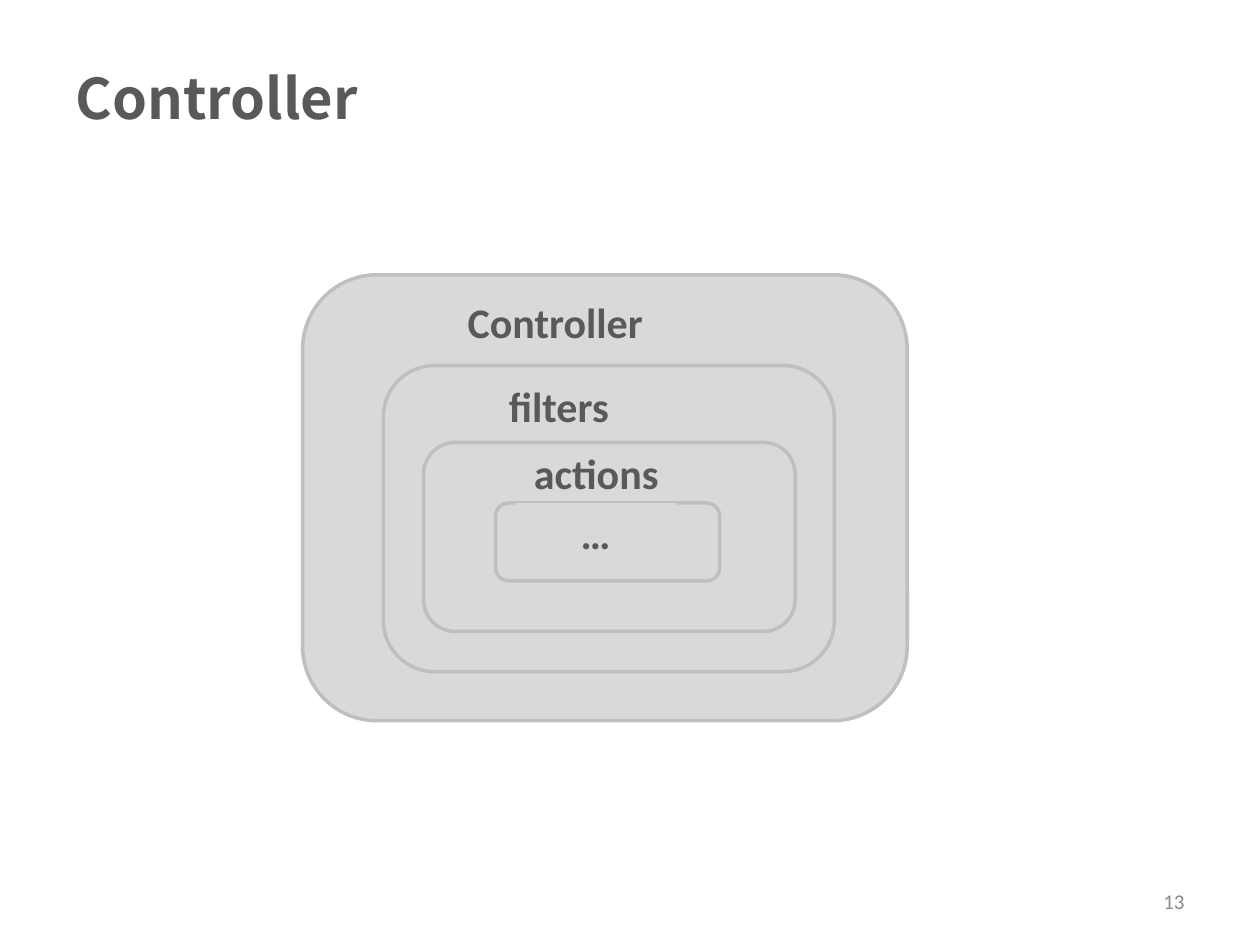
from pptx import Presentation
from pptx.dml.color import RGBColor
from pptx.enum.shapes import MSO_SHAPE
from pptx.enum.text import MSO_ANCHOR, PP_ALIGN
from pptx.util import Cm, Pt

COLORS = {"text": "595959", "number": "898989", "fill": "D9D9D9", "line": "BFBFBF"}
TITLE_FORMAT = {"name": "Noto Sans CJK SC", "size": Pt(32), "bold": True}
LABEL_FORMAT = {"name": "Calibri", "size": Pt(24), "bold": True}
NUMBER_FORMAT = {"name": "Calibri", "size": Pt(12), "bold": False}

LAYERS = [
    (0, 0, 12.19, 8.99),
    (1.63, 1.83, 9.09, 6.17),
    (2.44, 3.38, 7.49, 3.81),
    (3.89, 4.6, 4.52, 1.57),
]
LABELS = [
    ("Controller", (2.67, 0.36, 4.85, 1.19)),
    ("filters", (2.74, 2.24, 4.85, 0.79)),
    ("actions", (3.89, 3.68, 4.06, 0.61)),
    ("…", (4.29, 4.6, 3.23, 1.19)),
]


def color(name):
    return RGBColor.from_string(COLORS[name])


def write_text(shape, text, font_format, color_name, alignment):
    frame = shape.text_frame
    frame.word_wrap = True
    frame.vertical_anchor = MSO_ANCHOR.MIDDLE
    paragraph = frame.paragraphs[0]
    paragraph.alignment = alignment
    run = paragraph.add_run()
    run.text = text
    for attribute, value in font_format.items():
        setattr(run.font, attribute, value)
    run.font.color.rgb = color(color_name)


def add_filled_shape(slide, kind, origin, box):
    left, top, width, height = box
    shape = slide.shapes.add_shape(
        kind, Cm(origin[0] + left), Cm(origin[1] + top), Cm(width), Cm(height)
    )
    shape.shadow.inherit = False
    shape.fill.solid()
    shape.fill.fore_color.rgb = color("fill")
    return shape


def place_title(slide, box):
    title = slide.shapes.title
    for attribute, length in zip(("left", "top", "width", "height"), box):
        setattr(title, attribute, Cm(length))
    write_text(title, "Controller", TITLE_FORMAT, "text", PP_ALIGN.LEFT)


def place_nested_layers(slide, origin):
    for box in LAYERS:
        layer = add_filled_shape(slide, MSO_SHAPE.ROUNDED_RECTANGLE, origin, box)
        layer.adjustments[0] = 0.167
        layer.line.color.rgb = color("line")
        layer.line.width = Pt(2)
    for text, box in LABELS:
        label = add_filled_shape(slide, MSO_SHAPE.RECTANGLE, origin, box)
        label.line.fill.background()
        write_text(label, text, LABEL_FORMAT, "text", PP_ALIGN.CENTER)


def place_page_number(slide, box):
    number = slide.shapes.add_textbox(*map(Cm, box))
    write_text(number, "13", NUMBER_FORMAT, "number", PP_ALIGN.RIGHT)


def main():
    presentation = Presentation()
    presentation.slide_width = Cm(25.4)
    presentation.slide_height = Cm(19.05)
    slide = presentation.slides.add_slide(presentation.slide_layouts[5])
    place_title(slide, (1.27, 0.76, 22.86, 2.41))
    place_page_number(slide, (18.21, 17.65, 5.92, 1.02))
    place_nested_layers(slide, (6.1, 5.54))
    presentation.save("out.pptx")


if __name__ == "__main__":
    main()
